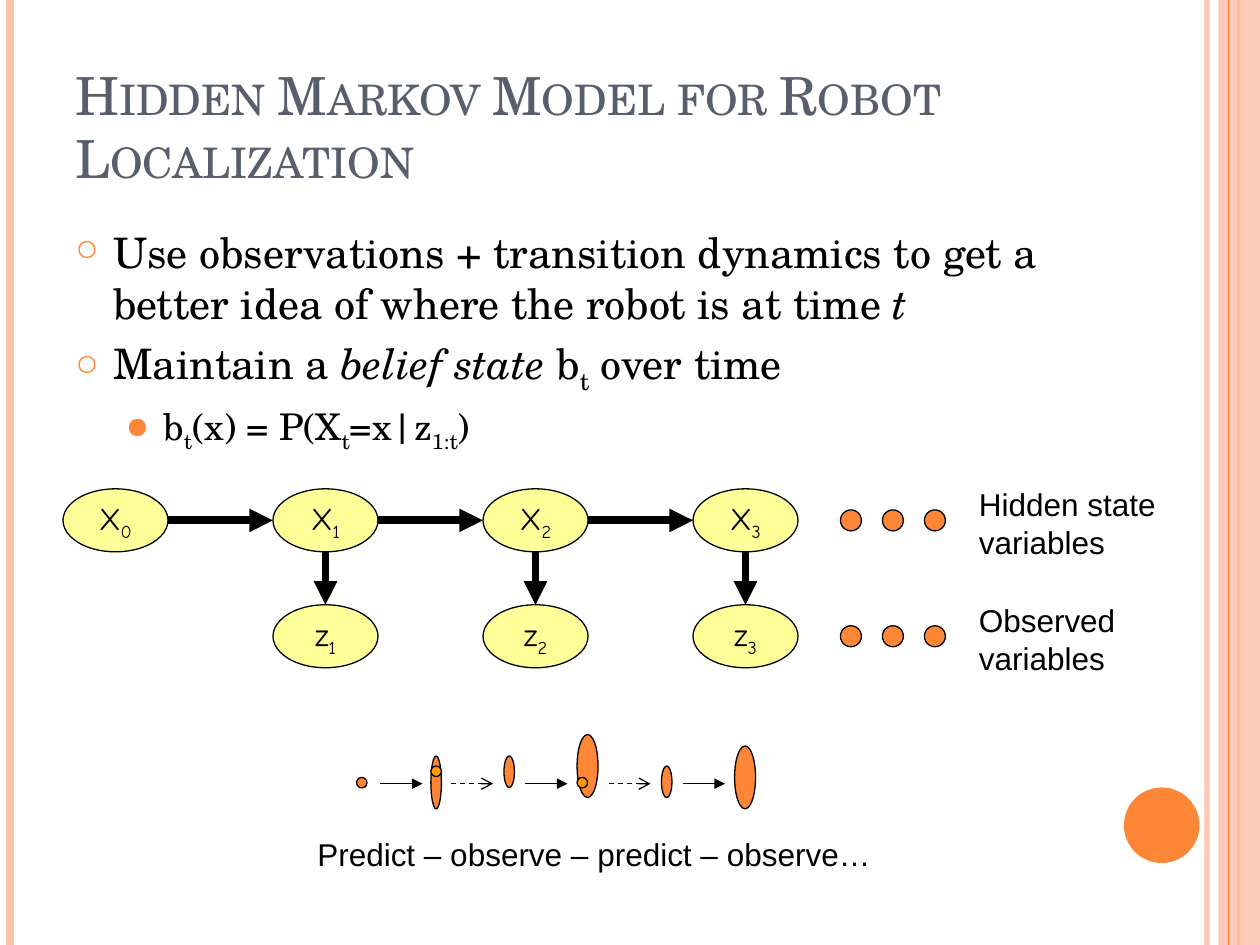
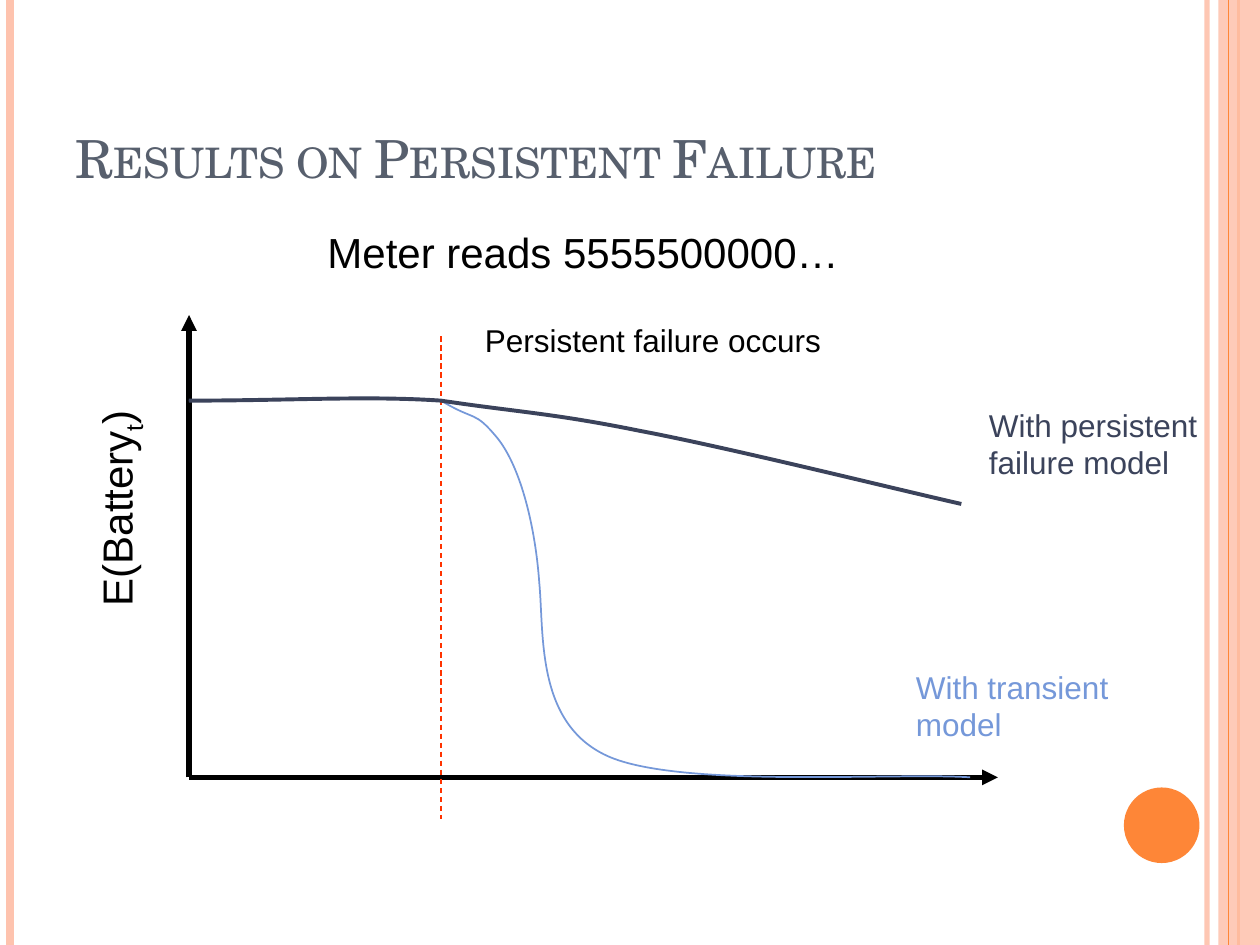
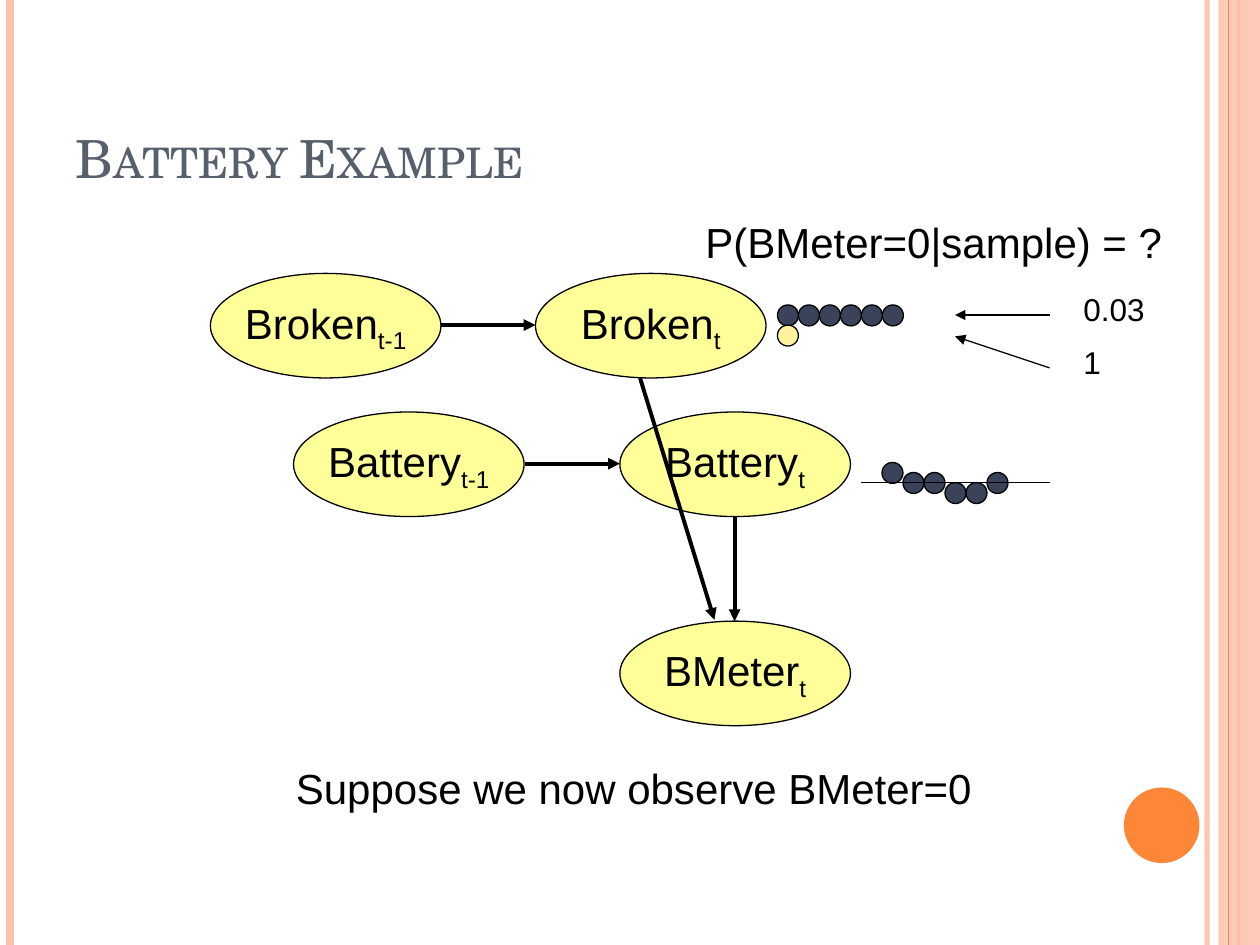
from lxml import etree
from pptx import Presentation
from pptx.dml.color import RGBColor
from pptx.enum.dml import MSO_LINE
from pptx.enum.shapes import MSO_CONNECTOR, MSO_SHAPE
from pptx.enum.text import MSO_ANCHOR, PP_ALIGN
from pptx.oxml.ns import qn
from pptx.util import Inches, Pt

BLACK = RGBColor(0x00, 0x00, 0x00)
SLATE = RGBColor(0x57, 0x5F, 0x6D)
ORANGE = RGBColor(0xFE, 0x86, 0x37)
PEACH = RGBColor(0xFE, 0xC3, 0xAE)
AMBER = RGBColor(0xFF, 0x99, 0x00)
RED = RGBColor(0xFF, 0x33, 0x00)
YELLOW = RGBColor(0xFF, 0xFF, 0x99)
CREAM = RGBColor(0xFF, 0xF3, 0x9D)
NAVY = RGBColor(0x3B, 0x43, 0x5B)
BLUE = RGBColor(0x75, 0x98, 0xD9)

SERIF, SANS, HAND = "TeX Gyre Schola", "Arial", "Comic Neue"
SUB, ITALIC = "sub", "italic"
DOT = 1 / 6
SMALL = 1 / 12


def add_child(parent, tag, **attrs):
    return etree.SubElement(parent, qn(tag), attrs)


def set_opacity(shape, percent):
    color = shape._element.xpath(".//p:spPr//a:srgbClr")[0]
    add_child(color, "a:alpha", val=str(percent * 1000))


class Deck:
    def __init__(self):
        self.prs = Presentation()
        self.prs.slide_width, self.prs.slide_height = Inches(10), Inches(7.5)
        self.shapes = None

    def new_slide(self, title):
        self.shapes = self.prs.slides.add_slide(self.prs.slide_layouts[6]).shapes
        self.vertical_rule(9.58, PEACH, 3, opacity=93)
        self.vertical_rule(0.08, PEACH, 4.5)
        self.vertical_rule(9.83, ORANGE, 1.5)
        band = self.shape(MSO_SHAPE.RECTANGLE, 9.67, 0, 0.33, 7.5, PEACH, outline=False)
        set_opacity(band, 87)
        self.vertical_rule(9.75, ORANGE, 0.75)
        self.shape(MSO_SHAPE.OVAL, 8.92, 6.25, 0.6, 0.6, ORANGE, outline=False)

        tf = self.text_box(0.5, 0.3, 8.17, 1.25)
        tf.vertical_anchor = MSO_ANCHOR.BOTTOM
        self.add_runs(tf.paragraphs[0], [title], 30, SERIF, SLATE)
        for r in tf.paragraphs[0].runs:
            r.font._element.set("cap", "small")

    def vertical_rule(self, x, color, width, opacity=None):
        rule = self.line((x, 0), (x, 7.5), width, color)
        if opacity:
            set_opacity(rule, opacity)

    def shape(self, kind, x, y, w, h, fill, outline=True):
        sp = self.shapes.add_shape(kind, Inches(x), Inches(y), Inches(w), Inches(h))
        sp.shadow.inherit = False
        sp.fill.solid()
        sp.fill.fore_color.rgb = fill
        if outline:
            sp.line.color.rgb = BLACK
            sp.line.width = Pt(0.75)
        else:
            sp.line.fill.background()
        return sp

    def dot(self, x, y, fill, w=DOT, h=DOT):
        self.shape(MSO_SHAPE.OVAL, x, y, w, h, fill)

    def node(self, x, y, w, h, name, index, size, font):
        """Yellow ellipse labelled with a name and a subscript."""
        tf = self.shape(MSO_SHAPE.OVAL, x, y, w, h, YELLOW).text_frame
        tf.word_wrap = False
        tf.vertical_anchor = MSO_ANCHOR.MIDDLE
        p = tf.paragraphs[0]
        p.alignment = PP_ALIGN.CENTER
        self.add_runs(p, [name, (index, SUB)], size, font)

    def line(self, start, end, width=0.75, color=BLACK, head=None, dashed=False):
        cx = self.shapes.add_connector(MSO_CONNECTOR.STRAIGHT,
                                       *[Inches(v) for v in (*start, *end)])
        cx.line.color.rgb = color
        cx.line.width = Pt(width)
        if dashed:
            cx.line.dash_style = MSO_LINE.DASH
        if head:
            ln = cx._element.xpath("./p:spPr/a:ln")[0]
            add_child(ln, "a:tailEnd", type=head)
        add_child(cx._element.spPr, "a:effectLst")
        return cx

    def curve(self, points, color, width):
        """Bezier curve: a start point, then three points for each segment."""
        start, *rest = [(Inches(x), Inches(y)) for x, y in points]
        builder = self.shapes.build_freeform(*start)
        builder.add_line_segments(rest, close=False)
        sp = builder.convert_to_shape()
        steps = sp._element.xpath(".//a:lnTo")
        for i in range(0, len(steps), 3):
            bezier = add_child(steps[i].getparent(), "a:cubicBezTo")
            for step in steps[i:i + 3]:
                bezier.append(step[0])
                step.getparent().remove(step)
        sp.shadow.inherit = False
        sp.fill.background()
        sp.line.color.rgb = color
        sp.line.width = Pt(width)

    def text_box(self, x, y, w, h, rotation=0):
        sp = self.shapes.add_textbox(Inches(x), Inches(y), Inches(w), Inches(h))
        sp.rotation = rotation
        sp.text_frame.word_wrap = True
        return sp.text_frame

    def label(self, x, y, w, h, *parts, size=18, color=BLACK, rotation=0):
        tf = self.text_box(x, y, w, h, rotation)
        self.add_runs(tf.paragraphs[0], parts, size, SANS, color)

    def bullets(self, x, y, w, h, items):
        """Items are pairs of a level and the parts of the text."""
        styles = [(0.3, "○", 70, 24, 6), (0.7, "●", 80, 21, 5)]
        tf = self.text_box(x, y, w, h)
        for i, (level, parts) in enumerate(items):
            indent, char, percent, size, space = styles[level]
            p = tf.add_paragraph() if i else tf.paragraphs[0]
            if i:
                p.space_before = Pt(space)
            p.level = level
            pPr = p._p.get_or_add_pPr()
            pPr.set("marL", str(Inches(indent)))
            pPr.set("indent", str(Inches(-0.3)))
            add_child(add_child(pPr, "a:buClr"), "a:srgbClr", val=str(ORANGE))
            add_child(pPr, "a:buSzPct", val=str(percent * 1000))
            add_child(pPr, "a:buChar", char=char)
            self.add_runs(p, parts, size, SERIF)

    def add_runs(self, p, parts, size, font, color=BLACK):
        """Add runs; a part is plain text or a pair of text and SUB or ITALIC."""
        for part in parts:
            text, style = (part, None) if isinstance(part, str) else part
            r = p.add_run()
            r.text = text
            r.font.size = Pt(size)
            r.font.name = font
            r.font.color.rgb = color
            if style == ITALIC:
                r.font.italic = True
            elif style == SUB:
                r.font._element.set("baseline", "-25000")


def markov_slide(deck):
    deck.new_slide("Hidden Markov Model for Robot Localization")
    deck.bullets(0.5, 1.75, 8.17, 5.33, [
        (0, ["Use observations + transition dynamics to get a better idea of "
             "where the robot is at time ", ("t", ITALIC)]),
        (0, ["Maintain a ", ("belief state ", ITALIC), "b", ("t", SUB), " over time"]),
        (1, ["b", ("t", SUB), "(x) = P(X", ("t", SUB), "=x|z", ("1:t", SUB), ")"]),
    ])

    step, node_w, node_h = 5 / 3, 5 / 6, 0.5
    hidden_y, observed_y = 3.88, 4.8
    for i in range(4):
        x = 0.5 + i * step
        deck.node(x, hidden_y, node_w, node_h, "X", str(i), 18, HAND)
        if i:
            mid_x, mid_y = x + node_w / 2, hidden_y + node_h / 2
            deck.node(x, observed_y, node_w, node_h, "z", str(i), 18, HAND)
            deck.line((mid_x - step + node_w / 2, mid_y), (x, mid_y), 4.5, head="triangle")
            deck.line((mid_x, hidden_y + node_h), (mid_x, observed_y), 4.5, head="triangle")

    for y, text in [(hidden_y, "Hidden state variables"), (observed_y, "Observed variables")]:
        for i in range(3):
            deck.dot(6.67 + i / 3, y + DOT, ORANGE)
        deck.label(7.67, y - 0.08, 1.75, 0.7, text)

    beliefs = [(2.83, 6.17, SMALL, SMALL), (3.42, 6, SMALL, 0.42), (4, 6, SMALL, 0.25),
               (4.58, 5.83, DOT, 0.5), (5.25, 6.08, SMALL, 0.25), (5.83, 5.92, DOT, 0.5)]
    for x, y, w, h in beliefs:
        deck.dot(x, y, ORANGE, w, h)
    for x, y in [(3.42, 6.08), (4.58, 6.17)]:
        deck.dot(x, y, AMBER, SMALL, SMALL)
    for i, x in enumerate([3.02, 3.58, 4.17, 4.83, 5.42]):
        observe = i % 2 == 1
        deck.line((x, 6.22), (x + 1 / 3, 6.22), dashed=observe,
                  head="arrow" if observe else "triangle")
    deck.label(2.42, 6.58, 5.17, 0.4, "Predict – observe – predict – observe…")


def failure_slide(deck):
    deck.new_slide("Results on Persistent Failure")
    origin = (1.5, 6.17)
    for end in [(1.5, 2.5), (7.92, 6.17)]:
        deck.line(origin, end, 3, head="triangle")
    deck.label(-0.12, 3.62, 2.08, 0.5, "E(Battery", ("t", SUB), ")", size=24, rotation=270)
    deck.line((3.5, 2.67), (3.5, 6.5), color=RED, dashed=True)
    deck.label(3.75, 2.5, 3.08, 0.4, "Persistent failure occurs")
    deck.curve([(1.5, 3.18), (2.31, 3.18), (3.09, 3.13), (3.5, 3.18),
                (3.78, 3.35), (3.76, 3.25), (3.95, 3.48),
                (4.14, 3.72), (4.25, 4.2), (4.28, 4.62),
                (4.32, 5.03), (4.25, 5.74), (4.82, 6),
                (5.39, 6.26), (7.1, 6.13), (7.7, 6.17)], BLUE, 1)
    deck.label(7.17, 5.25, 2.25, 0.7, "With transient model", color=BLUE)
    deck.label(2.5, 1.75, 5.25, 0.5, "Meter reads 5555500000…", size=24)
    deck.curve([(1.5, 3.18), (2.31, 3.18), (2.9, 3.14), (3.5, 3.18),
                (4.1, 3.27), (4.39, 3.28), (5.08, 3.42),
                (5.77, 3.55), (7.1, 3.88), (7.63, 4)], NAVY, 2.25)
    deck.label(7.75, 3.17, 2.25, 0.7, "With persistent failure model", color=NAVY)


def battery_slide(deck):
    deck.new_slide("Battery Example")
    node_w, node_h = 1.83, 0.83
    for x, y, name, index in [(4.92, 4.93, "BMeter", "t"),
                              (4.92, 3.27, "Battery", "t"), (2.33, 3.27, "Battery", "t-1"),
                              (1.67, 2.17, "Broken", "t-1"), (4.25, 2.17, "Broken", "t")]:
        deck.node(x, y, node_w, node_h, name, index, 24, SANS)
    for start, end in [((4.17, 3.68), (4.92, 3.68)), ((5.83, 4.1), (5.83, 4.93)),
                       ((5.08, 3), (5.67, 4.92)), ((3.5, 2.58), (4.25, 2.58))]:
        deck.line(start, end, 2.25, head="triangle")

    for i in range(6):
        deck.dot(6.17 + i * DOT, 2.42, NAVY)
    deck.dot(6.17, 2.58, CREAM)
    for i, y in enumerate([3.67, 3.75, 3.75, 3.83, 3.83, 3.75]):
        deck.dot(7 + i * DOT, y, NAVY)
    deck.line((6.83, 3.83), (8.33, 3.83))

    deck.label(2.25, 6, 5.83, 0.5, "Suppose we now observe BMeter=0", size=24)
    deck.label(5.5, 1.67, 3.92, 0.5, "P(BMeter=0|sample) = ?", size=24)
    for text, text_y, start_y, end_y in [("0.03", 2.25, 2.5, 2.5), ("1", 2.67, 2.92, 2.67)]:
        deck.line((8.33, start_y), (7.58, end_y), head="triangle")
        deck.label(8.5, text_y, 0.83, 0.4, text)


def main():
    deck = Deck()
    markov_slide(deck)
    failure_slide(deck)
    battery_slide(deck)
    deck.prs.save("out.pptx")


if __name__ == "__main__":
    main()
